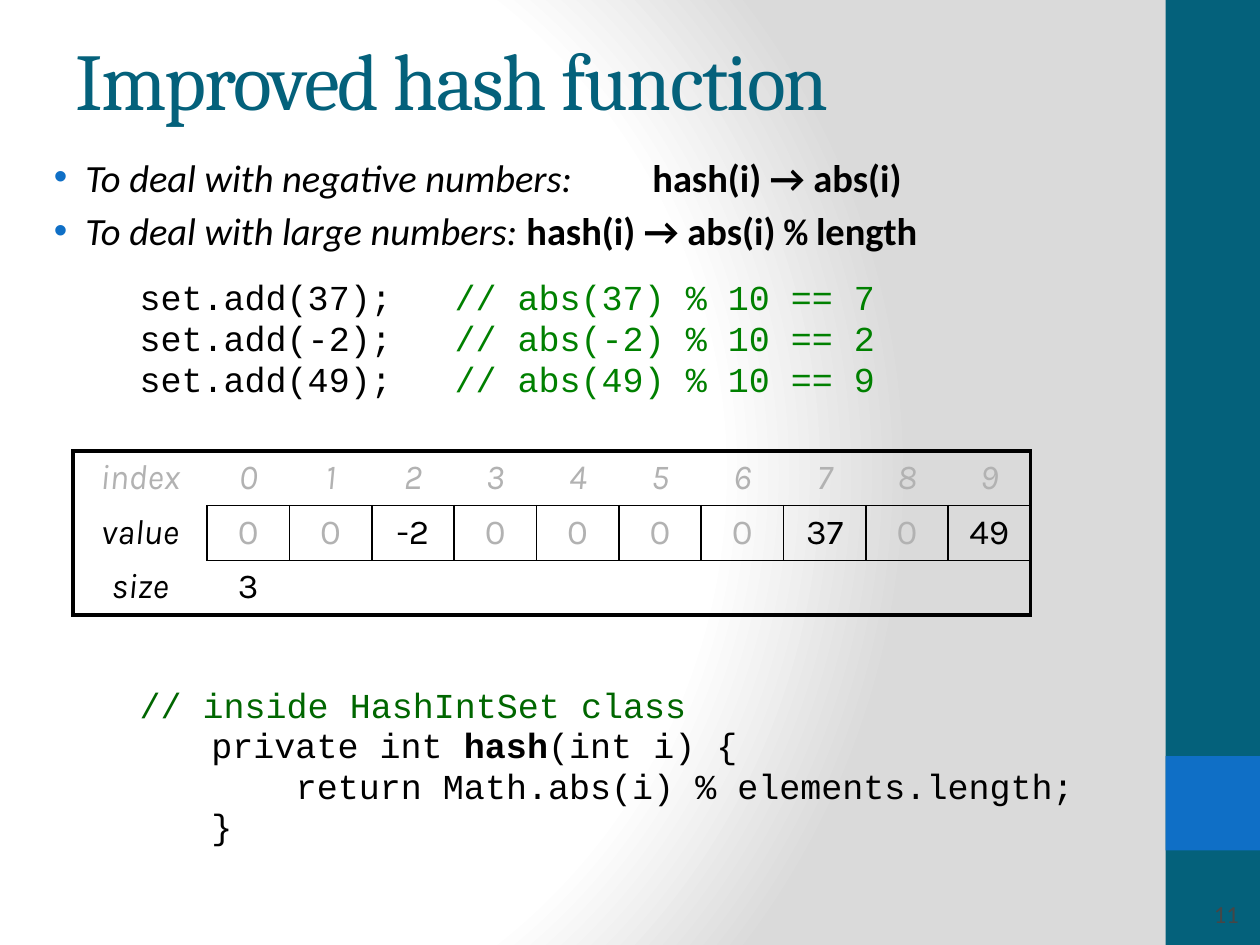
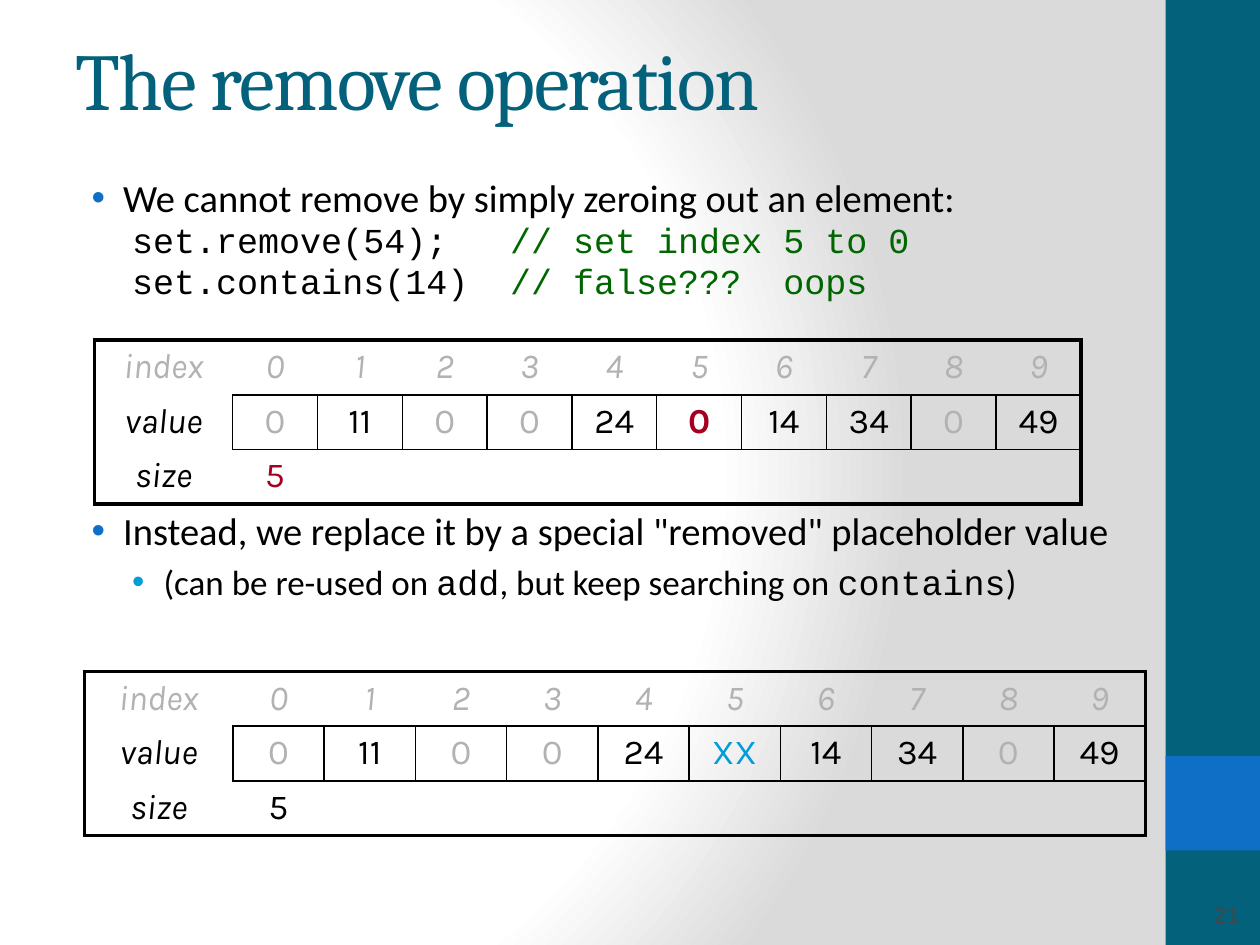
"""Build two slides on a hash set: its hash function and its remove operation."""
from lxml import etree
from pptx import Presentation
from pptx import util as u
from pptx.dml.color import RGBColor
from pptx.enum import shapes, text
from pptx.oxml.ns import qn

COLORS = {
    "teal": "04617B", "blue": "0F6FC6", "sky": "009DD9", "black": "000000",
    "white": "FFFFFF", "shade": "DADADA", "faded": "B2B2B2", "red": "A50021",
    "green": "008000", "comment": "006600", "number": "464646",
}
BODY, HEADING, CODE, CELL = "Calibri", "Cambria", "Courier New", "Karla"
NO_GRID_STYLE = "{2D5ABB26-0587-4C30-8999-92F81FD0307C}"
THICK, THIN = 2.25, 1
LABEL_SHARE = 0.14
BLANK_LAYOUT = 6


def add_xml(parent, tag, **attributes):
    """Append a DrawingML element with the given attributes."""
    element = etree.SubElement(parent, qn(tag))
    for name, value in attributes.items():
        element.set(name, str(value))
    return element


def add_color(parent, color):
    """Append a named colour to an XML element."""
    return add_xml(parent, "a:srgbClr", val=COLORS[color])


def add_run(paragraph, words, font=BODY, size=22, color="black", bold=False, italic=False):
    """Add one formatted run and return it."""
    run = paragraph.add_run()
    run.text = words
    run.font.name = font
    run.font.size = u.Pt(size)
    run.font.color.rgb = RGBColor.from_string(COLORS[color])
    run.font.bold = bold
    run.font.italic = italic
    return run


def code(words, color="black", bold=False):
    """Describe a run of program code."""
    return words, {"font": CODE, "size": 20, "color": color, "bold": bold}


def plain(words, size=22, **style):
    """Describe a run of body text."""
    return words, {"size": size, **style}


def add_background(slide):
    """Fill the background with a circular white to grey gradient."""
    slide.background.fill.gradient()
    gradient = next(slide.element.iter(qn("a:gradFill")))
    for child in list(gradient):
        gradient.remove(child)
    stops = add_xml(gradient, "a:gsLst")
    for position, color in ((0, "white"), (75, "white"), (100, "shade")):
        add_color(add_xml(stops, "a:gs", pos=position * 1000), color)
    circle = add_xml(gradient, "a:path", path="circle")
    add_xml(circle, "a:fillToRect", l=20000, t=50000, r=100000, b=50000)


def add_band(slide, top, height, color):
    """Add a filled band at the right edge."""
    band = slide.shapes.add_shape(
        shapes.MSO_SHAPE.RECTANGLE, u.Inches(9.25), u.Inches(top), u.Inches(0.75), u.Inches(height))
    band.shadow.inherit = False
    band.fill.solid()
    band.fill.fore_color.rgb = RGBColor.from_string(COLORS[color])
    band.line.fill.background()


def add_text_frame(slide, left, top, width, height, anchor=text.MSO_ANCHOR.TOP):
    """Add a wrapping text box and return its text frame."""
    box = slide.shapes.add_textbox(
        u.Inches(left), u.Inches(top), u.Inches(width), u.Inches(height))
    frame = box.text_frame
    frame.word_wrap = True
    frame.vertical_anchor = anchor
    return frame


def add_slide(presentation, title, number):
    """Add a slide with the shared background, bands, title and number."""
    slide = presentation.slides.add_slide(presentation.slide_layouts[BLANK_LAYOUT])
    add_background(slide)
    add_band(slide, 0, 7.5, "teal")
    add_band(slide, 6, 0.75, "blue")
    frame = add_text_frame(slide, 0.5, 0, 8.33, 1.25, text.MSO_ANCHOR.MIDDLE)
    run = add_run(frame.paragraphs[0], title, HEADING, 46, "teal")
    run.font._element.set("spc", "-100")
    frame = add_text_frame(slide, 9.25, 7.05, 0.68, 0.4, text.MSO_ANCHOR.MIDDLE)
    frame.paragraphs[0].alignment = text.PP_ALIGN.RIGHT
    add_run(frame.paragraphs[0], str(number), size=14, color="number")
    return slide


def add_paragraph(frame, runs, margin, bullet=None, before=None, spacing=None, tab=None):
    """Add a paragraph of runs, with an optional bullet and tab stop."""
    first = frame.paragraphs[0]
    paragraph = frame.add_paragraph() if first.runs else first
    if spacing:
        paragraph.line_spacing = spacing
    paragraph.space_before = u.Pt(before or 0)
    properties = paragraph._p.get_or_add_pPr()
    if before is None:
        space = properties.find(qn("a:spcBef"))
        space.remove(space[0])
        add_xml(space, "a:spcPct", val=20000)
    properties.set("marL", str(u.Inches(margin)))
    properties.set("indent", str(u.Inches(-0.25 if bullet else 0)))
    if bullet:
        add_color(add_xml(properties, "a:buClr"), bullet)
        add_xml(properties, "a:buFont", typeface="Arial")
        add_xml(properties, "a:buChar", char="\u2022")
    if tab:
        stops = add_xml(properties, "a:tabLst")
        add_xml(stops, "a:tab", pos=u.Inches(tab), algn="l")
    for words, style in runs:
        add_run(paragraph, words, **style)


def add_code_line(frame, runs, margin, before=None, tab=None):
    """Add a tightly spaced line of code."""
    add_paragraph(frame, runs, margin, before=before, spacing=0.8, tab=tab)


def set_borders(cell, row, column, last_row, last_column):
    """Draw a thick table outline and thin boxes around the values."""
    in_box = row == 1 and column > 0
    widths = {
        "a:lnL": THICK if column == 0 else THIN if row == 1 else 0,
        "a:lnR": THICK if column == last_column else THIN if row == 1 else 0,
        "a:lnT": THICK if row == 0 else THIN if in_box or (row == 2 and column) else 0,
        "a:lnB": THICK if row == last_row else THIN if in_box or (row == 0 and column) else 0,
    }
    properties = cell._tc.get_or_add_tcPr()
    for tag, width in widths.items():
        if width:
            line = add_xml(properties, tag, w=u.Pt(width))
            add_color(add_xml(line, "a:solidFill"), "black")


def add_hash_table(slide, left, top, width, values, size, accents=None, size_color="black"):
    """Add the index, value and size table of a hash set."""
    accents = accents or {}
    rows = [["index", *range(len(values))], ["value", *values], ["size", size]]
    count = len(values) + 1
    frame = slide.shapes.add_table(
        len(rows), count, u.Inches(left), u.Inches(top), u.Inches(width), u.Inches(1.3))
    table = frame.table
    table.first_row = table.horz_banding = False
    table._tbl.tblPr.find(qn("a:tableStyleId")).text = NO_GRID_STYLE
    for index, column in enumerate(table.columns):
        share = (1 - LABEL_SHARE) / len(values) if index else LABEL_SHARE
        column.width = u.Inches(width * share)
    for row, entries in enumerate(rows):
        for column in range(count):
            cell = table.cell(row, column)
            set_borders(cell, row, column, len(rows) - 1, count - 1)
            cell.fill.background()
            if column >= len(entries):
                continue
            style = {"color": "faded" if row == 0 or entries[column] == 0 else "black"}
            if row == 1 and column:
                style.update(accents.get(column - 1, {}))
            if row == 2 and column:
                style["color"] = size_color
            paragraph = cell.text_frame.paragraphs[0]
            paragraph.alignment = text.PP_ALIGN.CENTER
            add_run(paragraph, str(entries[column]), CELL, 20,
                    italic=row == 0 or column == 0, **style)


def build_hash_slide(presentation):
    """Build the slide on the improved hash function."""
    slide = add_slide(presentation, "Improved hash function", 11)
    frame = add_text_frame(slide, 0.08, 1.17, 9.17, 5.83)
    add_paragraph(frame, [
        plain("To deal with negative numbers: \t", italic=True),
        plain("hash(i) \u2192 abs(i)", bold=True)], 0.5, "blue", tab=5)
    add_paragraph(frame, [
        plain("To deal with large numbers:\t", italic=True),
        plain("hash(i) \u2192 abs(i) ", bold=True),
        plain("%", font=CODE, bold=True),
        plain(" length", bold=True)], 0.5, "blue", tab=4)
    for number, before in ((37, 17.4), (-2, None), (49, None)):
        add_code_line(frame, [
            code(f"set.add({number});\t"),
            code(f"// abs({number}) % 10 == {abs(number) % 10}", "green")],
            0.93, before, tab=3.93)
    add_code_line(frame, [code("// inside HashIntSet class", "comment")], 0.93, before=167)
    add_code_line(frame, [
        code("private int "), code("hash", bold=True), code("(int i) {")], 1.5)
    add_code_line(frame, [code("return Math.abs(i) % elements.length;")], 2.17)
    add_code_line(frame, [code("}")], 1.5)
    add_hash_table(slide, 0.58, 3.58, 7.6, [0, 0, -2, 0, 0, 0, 0, 37, 0, 49], 3)


def build_remove_slide(presentation):
    """Build the slide on the remove operation."""
    slide = add_slide(presentation, "The remove operation", 21)
    frame = add_text_frame(slide, 0.5, 1.33, 9.17, 5.67)
    add_paragraph(frame, [
        plain("We cannot remove by simply zeroing out an element:")], 0.38, "blue")
    for call, remark in (("set.remove(54);", "// set index 5 to 0"),
                         ("set.contains(14)", "// false???  oops")):
        add_code_line(frame, [code(call + "\t"), code(remark, "comment")], 0.45, tab=3.62)
    add_paragraph(frame, [
        plain('Instead, we replace it by a special "removed" placeholder value')],
        0.38, "blue", before=117.7)
    add_paragraph(frame, [
        plain("(can be re-used on ", 20), code("add"),
        plain(", but keep searching on ", 20), code("contains"),
        plain(")", 20)], 0.7, "sky")
    start, end = [0, 11, 0, 0, 24], [14, 34, 0, 49]
    add_hash_table(slide, 0.75, 2.7, 7.83, [*start, 0, *end], 5,
                   {5: {"color": "red", "bold": True}}, "red")
    add_hash_table(slide, 0.67, 5.33, 8.42, [*start, "XX", *end], 5, {5: {"color": "sky"}})


def main():
    """Build and save the presentation."""
    presentation = Presentation()
    presentation.slide_width = u.Inches(10)
    presentation.slide_height = u.Inches(7.5)
    build_hash_slide(presentation)
    build_remove_slide(presentation)
    presentation.save("out.pptx")


main()
